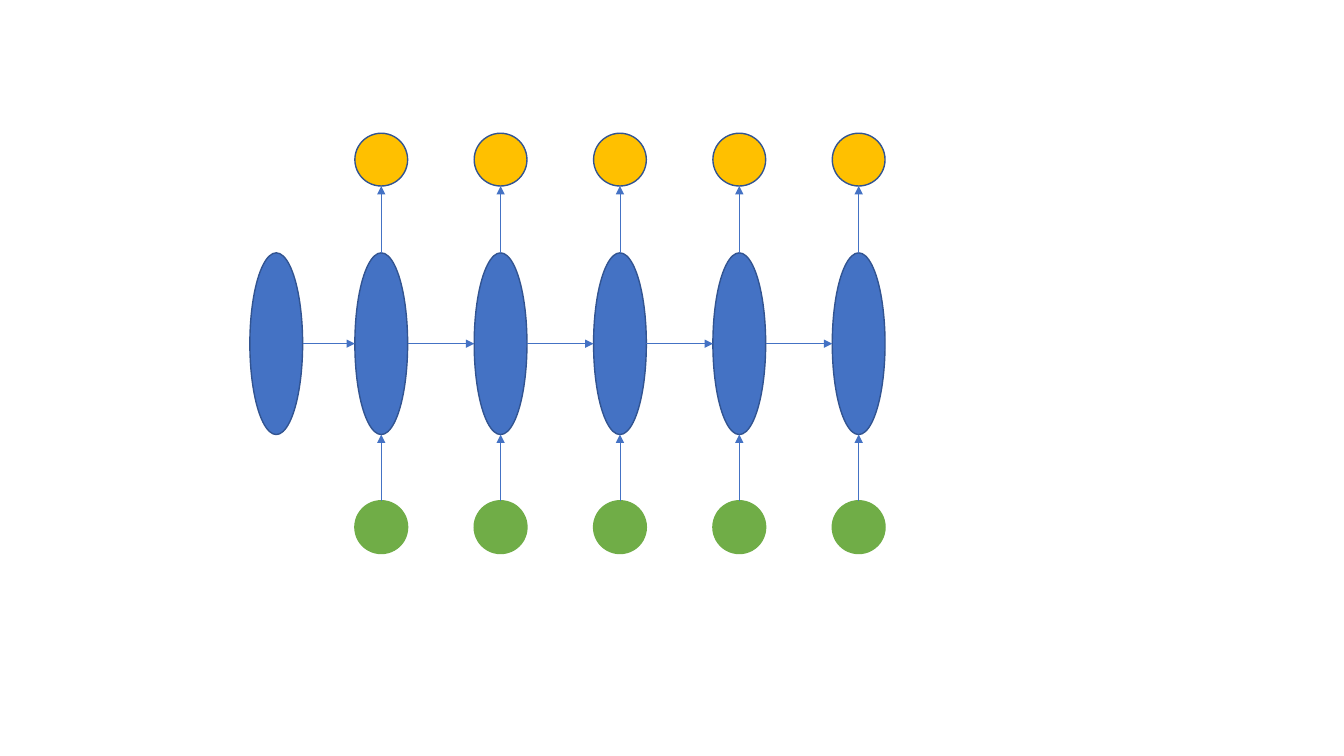
"""Draw a recurrent network unrolled over five time steps."""
from dataclasses import dataclass
from enum import IntEnum

from lxml import etree
from pptx import Presentation
from pptx import util as u
from pptx.dml.color import RGBColor
from pptx.enum import shapes
from pptx.oxml.ns import qn
from pptx.shapes.autoshape import Shape
from pptx.shapes.shapetree import GroupShapes


@dataclass(frozen=True)
class Theme:
    """Colours and line widths of the slide (it has no text)."""
    blue: RGBColor = RGBColor(0x44, 0x72, 0xC4)
    dark_blue: RGBColor = RGBColor(0x32, 0x54, 0x91)
    green: RGBColor = RGBColor(0x70, 0xAD, 0x47)
    gold: RGBColor = RGBColor(0xFF, 0xC0, 0x00)
    outline: float = 1
    arrow: float = 0.5


@dataclass(frozen=True)
class Layer:
    """One row of equal nodes; lengths in points."""
    top: float
    height: float
    fill: RGBColor
    line: RGBColor


class Site(IntEnum):
    """Connection sites of an ellipse."""
    TOP = 0
    LEFT = 2
    BOTTOM = 4
    RIGHT = 6


THEME = Theme()
STEPS = 5
NODE_WIDTH = 37.7
FIRST_LEFT = 253.5
PITCH = 85.25
INITIAL_LEFT = 178.5

OUTPUT = Layer(95.2, NODE_WIDTH, THEME.gold, THEME.dark_blue)
HIDDEN = Layer(180.6, 129.8, THEME.blue, THEME.dark_blue)
INPUT = Layer(357.7, NODE_WIDTH, THEME.green, THEME.green)


def add_node(canvas: GroupShapes, layer: Layer, left: float) -> Shape:
    """Add one ellipse of a layer."""
    node = canvas.add_shape(shapes.MSO_SHAPE.OVAL, u.Pt(left), u.Pt(layer.top),
                            u.Pt(NODE_WIDTH), u.Pt(layer.height))
    node.shadow.inherit = False
    node.fill.solid()
    node.fill.fore_color.rgb = layer.fill
    node.line.color.rgb = layer.line
    node.line.width = u.Pt(THEME.outline)
    return node


def site_position(node: Shape, site: Site) -> tuple[int, int]:
    """Return the slide position of a node's connection site."""
    middle_x = node.left + node.width // 2
    middle_y = node.top + node.height // 2
    return {
        Site.TOP: (middle_x, node.top),
        Site.LEFT: (node.left, middle_y),
        Site.BOTTOM: (middle_x, node.top + node.height),
        Site.RIGHT: (node.left + node.width, middle_y),
    }[site]


def add_arrow(canvas: GroupShapes, source: Shape, source_site: Site,
              target: Shape, target_site: Site) -> None:
    """Join two nodes with an arrow glued to their connection sites."""
    arrow = canvas.add_connector(shapes.MSO_CONNECTOR.STRAIGHT,
                                 *site_position(source, source_site),
                                 *site_position(target, target_site))
    arrow.line.color.rgb = THEME.blue
    arrow.line.width = u.Pt(THEME.arrow)
    etree.SubElement(arrow.line._get_or_add_ln(), qn("a:tailEnd"), type="triangle")
    etree.SubElement(arrow._element.spPr, qn("a:effectLst"))
    glue = arrow._element.nvCxnSpPr.cNvCxnSpPr
    for tag, node, site in (("a:stCxn", source, source_site),
                            ("a:endCxn", target, target_site)):
        etree.SubElement(glue, qn(tag), id=str(node.shape_id), idx=str(site.value))


def draw_network(canvas: GroupShapes) -> None:
    """Draw the initial state, then the three layers and their arrows."""
    lefts = [FIRST_LEFT + step * PITCH for step in range(STEPS)]
    initial = add_node(canvas, HIDDEN, INITIAL_LEFT)
    hidden, inputs, outputs = (
        [add_node(canvas, layer, left) for left in lefts]
        for layer in (HIDDEN, INPUT, OUTPUT))

    for lower, upper in ((inputs, hidden), (hidden, outputs)):
        for source, target in zip(lower, upper):
            add_arrow(canvas, source, Site.TOP, target, Site.BOTTOM)
    for previous, current in zip([initial, *hidden], hidden):
        add_arrow(canvas, previous, Site.RIGHT, current, Site.LEFT)


def main() -> None:
    """Build and save the presentation."""
    presentation = Presentation()
    presentation.slide_width = u.Pt(960)
    presentation.slide_height = u.Pt(540)
    blank = presentation.slide_layouts[6]
    slide = presentation.slides.add_slide(blank)
    draw_network(slide.shapes.add_group_shape().shapes)
    presentation.save("out.pptx")


main()
